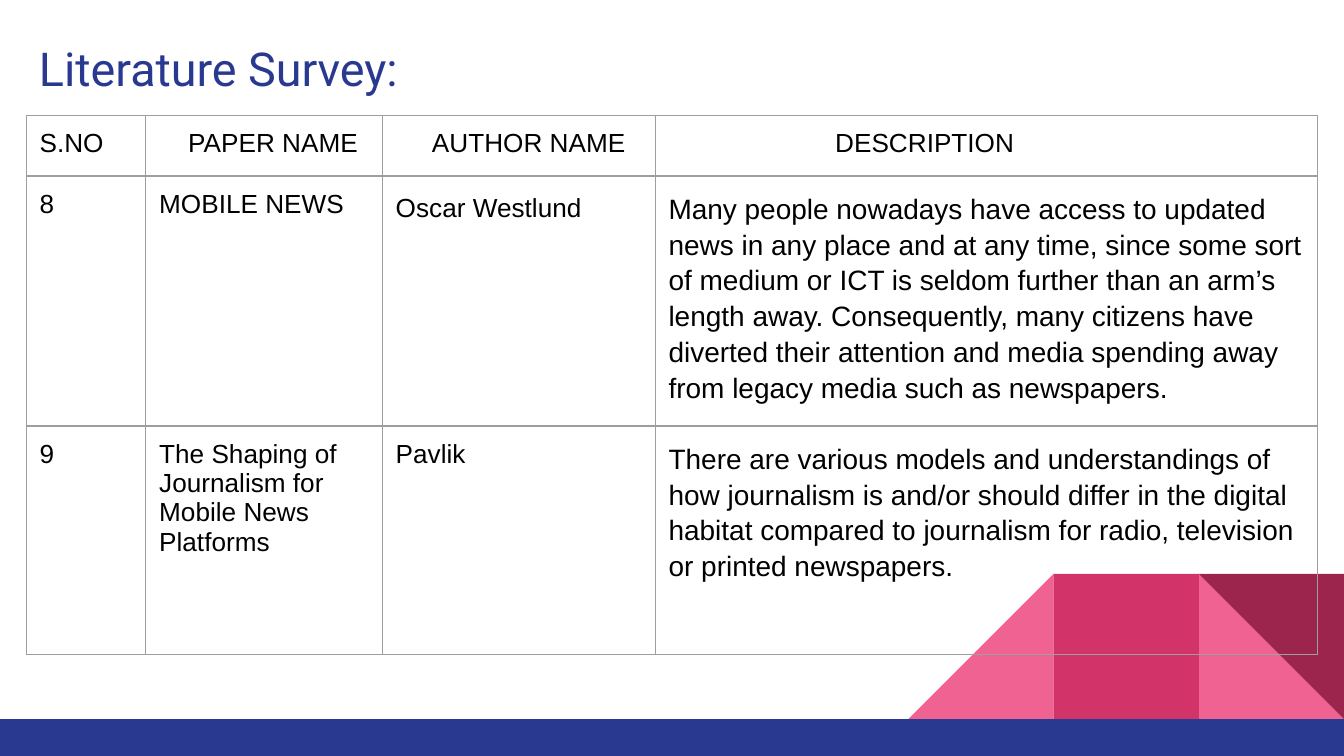
from dataclasses import dataclass

from lxml import etree
from pptx import Presentation
from pptx import util as u
from pptx.dml.color import RGBColor
from pptx.enum import shapes, text
from pptx.oxml import ns

KIND = shapes.MSO_SHAPE


@dataclass(frozen=True)
class Theme:
    blue: str = "2A3990"
    pink: str = "F06292"
    rose: str = "D23369"
    wine: str = "9C254D"
    ink: str = "000000"
    rule: str = "9E9E9E"
    head: str = "Roboto"
    body: str = "Arial"
    big: int = 25
    mid: int = 15
    small: int = 14


def write(frame, words, font, size, color, space=None):
    """Put one left-aligned paragraph into a text frame."""
    para = frame.paragraphs[0]
    para.alignment = text.PP_ALIGN.LEFT
    if space:
        para.line_spacing = space
    run = para.add_run()
    run.text = words
    run.font.name = font
    run.font.size = u.Pt(size)
    run.font.color.rgb = RGBColor.from_string(color)


class Deck:
    """Style and current slide, on a grid of 100 columns by 56.25 rows."""
    COLS, ROWS = 100, 56.25

    def __init__(self, theme):
        self.theme = theme
        self.prs = Presentation()
        self.prs.slide_width = u.Inches(10)
        self.prs.slide_height = u.Inches(5.625)
        self.slide = self.prs.slides.add_slide(self.prs.slide_layouts[5])

    def x(self, cols):
        return round(self.prs.slide_width * cols / self.COLS)

    def y(self, rows):
        return round(self.prs.slide_height * rows / self.ROWS)

    def area(self, col, row, wide, high):
        return self.x(col), self.y(row), self.x(wide), self.y(high)

    def shape(self, kind, area, color, turn=0, flip=False):
        item = self.slide.shapes.add_shape(kind, *self.area(*area))
        item.shadow.inherit = False
        item.fill.solid()
        item.fill.fore_color.rgb = RGBColor.from_string(color)
        item.line.fill.background()
        item.rotation = turn
        if flip:
            item.element.spPr.xfrm.set("flipH", "1")

    def title(self, words, area):
        item = self.slide.shapes.title
        item.left, item.top, item.width, item.height = self.area(*area)
        frame = item.text_frame
        frame.auto_size = text.MSO_AUTO_SIZE.NONE
        frame.word_wrap = True
        frame.vertical_anchor = text.MSO_ANCHOR.TOP
        frame.margin_left = frame.margin_right = self.x(1)
        frame.margin_top = frame.margin_bottom = self.y(1)
        t = self.theme
        write(frame, words, t.head, t.big, t.blue)

    def edge(self, cell):
        props = cell._tc.get_or_add_tcPr()
        for i, side in enumerate(("lnL", "lnR", "lnT", "lnB")):
            line = etree.Element(ns.qn("a:" + side), w=str(u.Pt(0.75)))
            fill = etree.SubElement(line, ns.qn("a:solidFill"))
            etree.SubElement(fill, ns.qn("a:srgbClr"), val=self.theme.rule)
            props.insert(i, line)

    def cell(self, cell, words, size, space=None, indent=0):
        cell.margin_left = self.x(1 + indent)
        cell.margin_right = self.x(1)
        cell.margin_top = cell.margin_bottom = self.y(1)
        cell.fill.background()
        self.edge(cell)
        write(cell.text_frame, words, self.theme.body, size,
              self.theme.ink, space)

    def table(self, col, row, wides, highs, rows, indents, loose):
        area = self.area(col, row, sum(wides), sum(highs))
        grid = self.slide.shapes.add_table(len(highs), len(wides), *area).table
        grid.first_row = grid.horz_banding = False
        for part, wide in zip(grid.columns, wides):
            part.width = self.x(wide)
        for part, high in zip(grid.rows, highs):
            part.height = self.y(high)
        last = len(wides) - 1
        for r, line in enumerate(rows):
            for c, words in enumerate(line):
                long = r > 0 and c == last
                self.cell(grid.cell(r, c), words,
                          self.theme.mid if long else self.theme.small,
                          1.15 if long or (r, c) in loose else None,
                          indents[c] if r == 0 else 0)


HEAD = ("S.NO", "PAPER NAME", "AUTHOR NAME", "DESCRIPTION")
PAPERS = (
    ("8", "MOBILE NEWS", "Oscar Westlund",
     "Many people nowadays have access to updated news in any place and at "
     "any time, since some sort of medium or ICT is seldom further than an "
     "arm’s length away. Consequently, many citizens have diverted their "
     "attention and media spending away from legacy media such as "
     "newspapers."),
    ("9", "The Shaping of Journalism for Mobile News Platforms", "Pavlik",
     "There are various models and understandings of how journalism is "
     "and/or should differ in the digital habitat compared to journalism "
     "for radio, television or printed newspapers."),
)


def main():
    t = Theme()
    deck = Deck(t)

    # Corner tiles, counted in tile widths from the right edge
    side, base = 10.8, 53.5
    tiles = (
        (KIND.RIGHT_TRIANGLE, 1, t.pink, 0, False),
        (KIND.RIGHT_TRIANGLE, 3, t.pink, 0, True),
        (KIND.RECTANGLE, 2, t.rose, 0, False),
        (KIND.RIGHT_TRIANGLE, 1, t.wine, 180, False),
    )
    for kind, step, color, turn, flip in tiles:
        area = (deck.COLS - step * side, base - side, side, side)
        deck.shape(kind, area, color, turn, flip)

    # Bottom band
    deck.shape(KIND.RECTANGLE, (0, base, deck.COLS, deck.ROWS - base), t.blue)

    # Title
    deck.title("Literature Survey:", (1.9, 2, 96.1, 50.8))

    # Survey table
    deck.table(1.95, 8.6, (8.9, 17.6, 20.3, 49.3), (4.5, 18.6, 17),
               (HEAD, *PAPERS), indents=(0, 2.16, 2.7, 12.4),
               loose={(1, 2)})

    deck.prs.save("out.pptx")


if __name__ == "__main__":
    main()
